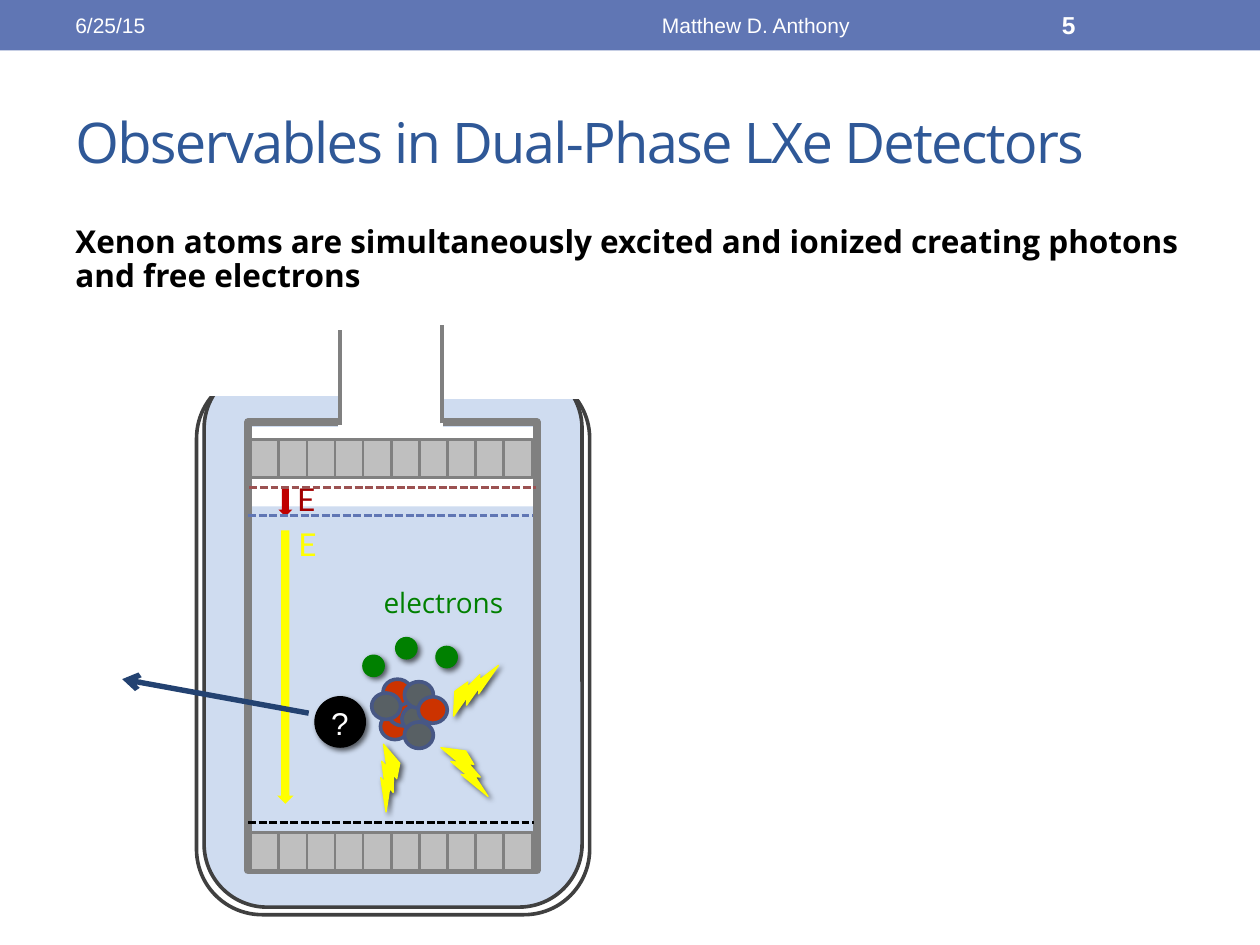
import pptx
import pptx.util
import pptx.dml.color
import pptx.enum.dml
import pptx.enum.shapes
import pptx.enum.text
import pptx.oxml
import pptx.oxml.ns

RGB = pptx.dml.color.RGBColor
MSO = pptx.enum.shapes.MSO_SHAPE
ALIGN = pptx.enum.text.PP_ALIGN
ANCHOR = pptx.enum.text.MSO_ANCHOR
NS = pptx.oxml.ns.nsdecls("a")

WHITE = RGB(0xFF, 0xFF, 0xFF)
BLACK = RGB(0x00, 0x00, 0x00)
HEADER = RGB(0x60, 0x76, 0xB4)
TITLE = RGB(0x2F, 0x58, 0x97)
LIQUID = RGB(0xCF, 0xDC, 0xF0)
VESSEL = RGB(0x40, 0x40, 0x40)
STEEL = RGB(0x80, 0x80, 0x80)
SENSOR = RGB(0xBF, 0xBF, 0xBF)
ANODE = RGB(0x9C, 0x52, 0x52)
YELLOW = RGB(0xFF, 0xFF, 0x00)
RED = RGB(0xC0, 0x00, 0x00)
DARK_RED = RGB(0xA2, 0x00, 0x00)
PROTON = RGB(0xCC, 0x33, 0x00)
NEUTRON = RGB(0x58, 0x60, 0x64)
RIM = RGB(0x47, 0x57, 0x85)
TRACK = RGB(0x23, 0x42, 0x71)
GREEN = RGB(0x00, 0x80, 0x00)

prs = pptx.Presentation()
prs.slide_width = pptx.util.Inches(10)
prs.slide_height = pptx.util.Inches(7.5)
s = prs.slides.add_slide(prs.slide_layouts[6])
COL = prs.slide_width / 100
ROW = prs.slide_height / 75


def add_text(text, x, y, w, h, size=18, font="Arial", color=WHITE, bold=False,
             align=ALIGN.LEFT, anchor=ANCHOR.TOP, line_spacing=None, spacing=None):
    tb = s.shapes.add_textbox(int(x * COL), int(y * ROW), int(w * COL), int(h * ROW))
    tf = tb.text_frame
    tf.word_wrap = True
    tf.vertical_anchor = anchor
    p = tf.paragraphs[0]
    p.alignment = align
    p.line_spacing = line_spacing
    r = p.add_run()
    r.text = text
    r.font.size = pptx.util.Pt(size)
    r.font.name = font
    r.font.bold = bold
    r.font.color.rgb = color
    if spacing:
        r.font._element.set("spc", str(spacing))


def add_shape(kind, x, y, w, h, fill=None, line=None, width=2.08, rotation=0, shadow=False):
    sp = s.shapes.add_shape(kind, int(x * COL), int(y * ROW), int(w * COL), int(h * ROW))
    sp.shadow.inherit = False
    sp.rotation = rotation
    if fill is None:
        sp.fill.background()
    else:
        sp.fill.solid()
        sp.fill.fore_color.rgb = fill
    if line is None:
        sp.line.fill.background()
    else:
        sp.line.color.rgb = line
        sp.line.width = pptx.util.Pt(width)
    if shadow:
        effects = sp._element.spPr.find(pptx.oxml.ns.qn("a:effectLst"))
        effects.append(pptx.oxml.parse_xml(
            f'<a:outerShdw {NS} blurRad="38100" dist="25400" dir="2700000" rotWithShape="0">'
            '<a:srgbClr val="000000"><a:alpha val="60000"/></a:srgbClr></a:outerShdw>'))


add_shape(MSO.RECTANGLE, 0, 0, 100, 4, fill=HEADER)
add_text("Observables in Dual-Phase LXe Detectors", 5, 5.8, 90, 10.8, size=32,
         font="Open Sans", color=TITLE, anchor=ANCHOR.MIDDLE, spacing=-100)
add_text("6/25/15", 5, 0.2, 31.7, 3.6, size=12, anchor=ANCHOR.MIDDLE)
add_text("Matthew D. Anthony", 37.5, 0.2, 45, 3.6, size=12,
         align=ALIGN.CENTER, anchor=ANCHOR.MIDDLE)
add_text("5", 83.3, 0.2, 11.7, 3.6, size=14, bold=True, anchor=ANCHOR.MIDDLE)

add_shape(MSO.ROUNDED_RECTANGLE, 16.2, 29.5, 30, 42.3, fill=LIQUID, line=LIQUID)
add_shape(MSO.RECTANGLE, 19.8, 33.9, 22.6, 6.3, fill=WHITE)
add_shape(MSO.ROUNDED_RECTANGLE, 15.6, 29.6, 31.2, 43, line=VESSEL)
add_shape(MSO.ROUNDED_RECTANGLE, 16.2, 29, 30, 43, line=VESSEL)
add_shape(MSO.RECTANGLE, 16.8, 27.2, 28.3, 4.1, line=WHITE)
add_shape(MSO.RECTANGLE, 19.7, 33.5, 22.9, 35.6, line=STEEL, width=4.5)

for y in (34.9, 66.1):
    for i in range(10):
        add_shape(MSO.RECTANGLE, 19.9 + 2.23 * i, y, 2.3, 3, fill=SENSOR, line=STEEL, width=1.5)

for x, y, w, h, line in [
    (27, 23.3, 8, 10.6, WHITE),
    (27, 31.3, 8.1, 0.8, None),
    (26.6, 23.3, 9, 0.4, WHITE),
    (34.6, 28.3, 11.9, 3.2, WHITE),
    (16.5, 28.1, 10.5, 3.2, WHITE),
]:
    add_shape(MSO.RECTANGLE, x, y, w, h, fill=WHITE, line=line)

add_shape(MSO.DOWN_ARROW, 22, 42.1, 1.3, 21.7, fill=YELLOW)
add_text("E", 22.7, 41.2, 2.1, 2.3, font="Lato", color=YELLOW)
add_shape(MSO.DOWN_ARROW, 22.1, 38.7, 1.1, 2.3, fill=RED)
add_text("Xenon atoms are simultaneously excited and ionized creating photons and free electrons",
         5, 17.5, 90, 8.6, font="Open Sans", color=BLACK, bold=True, line_spacing=0.9)
add_shape(MSO.OVAL, 25, 55.3, 4, 4, fill=BLACK, line=BLACK, width=0.75, shadow=True)
add_text("?", 25.3, 55.4, 4, 4)
add_text("E", 22.6, 37.6, 2.1, 4, font="Lato", color=DARK_RED)

for x, y, fill in [
    (30.2, 56.6, PROTON), (30.8, 55.5, PROTON), (30.4, 53.9, PROTON), (29.5, 55, NEUTRON),
    (31.9, 56, NEUTRON), (32.1, 54.1, NEUTRON), (33.2, 55.3, PROTON), (32.1, 57.3, NEUTRON),
]:
    add_shape(MSO.OVAL, x, y, 2.3, 2.1, fill=fill, line=RIM)

for x1, y1, x2, y2, color, width, dashed, arrow in [
    (19.7, 40.9, 42.3, 40.9, HEADER, 1.5, True, False),
    (19.8, 38.7, 42.5, 38.7, ANODE, 1.5, True, False),
    (19.7, 65.3, 42.4, 65.3, BLACK, 1.5, True, False),
    (27, 33.7, 27, 26.2, STEEL, 2.25, False, False),
    (35.1, 33.6, 35.1, 25.8, STEEL, 2.25, False, False),
    (24.5, 56.6, 9.7, 53.9, TRACK, 3.08, False, True),
]:
    c = s.shapes.add_connector(pptx.enum.shapes.MSO_CONNECTOR.STRAIGHT, int(x1 * COL),
                               int(y1 * ROW), int(x2 * COL), int(y2 * ROW))
    c.line.color.rgb = color
    c.line.width = pptx.util.Pt(width)
    if dashed:
        c.line.dash_style = pptx.enum.dml.MSO_LINE.SQUARE_DOT
    if arrow:
        c.line._get_or_add_ln().append(pptx.oxml.parse_xml(f'<a:tailEnd {NS} type="arrow"/>'))
    c._element.spPr.append(pptx.oxml.parse_xml(f"<a:effectLst {NS}/>"))

for x, y, rotation in [(35.1, 53.4, 287.2), (34.5, 59.7, 21.6), (28.3, 60.3, 63.5)]:
    add_shape(MSO.LIGHTNING_BOLT, x, y, 4.9, 2.7, fill=YELLOW, line=YELLOW, width=0.75,
              rotation=rotation, shadow=True)

for x, y in [(28.8, 52), (31.4, 50.6), (34.6, 51.3)]:
    add_shape(MSO.OVAL, x, y, 1.7, 1.7, fill=GREEN, line=GREEN, width=0.75, shadow=True)
add_text("electrons", 27, 46, 16.4, 3.7, size=16, font="Open Sans", color=GREEN,
         align=ALIGN.CENTER)

prs.save("out.pptx")
